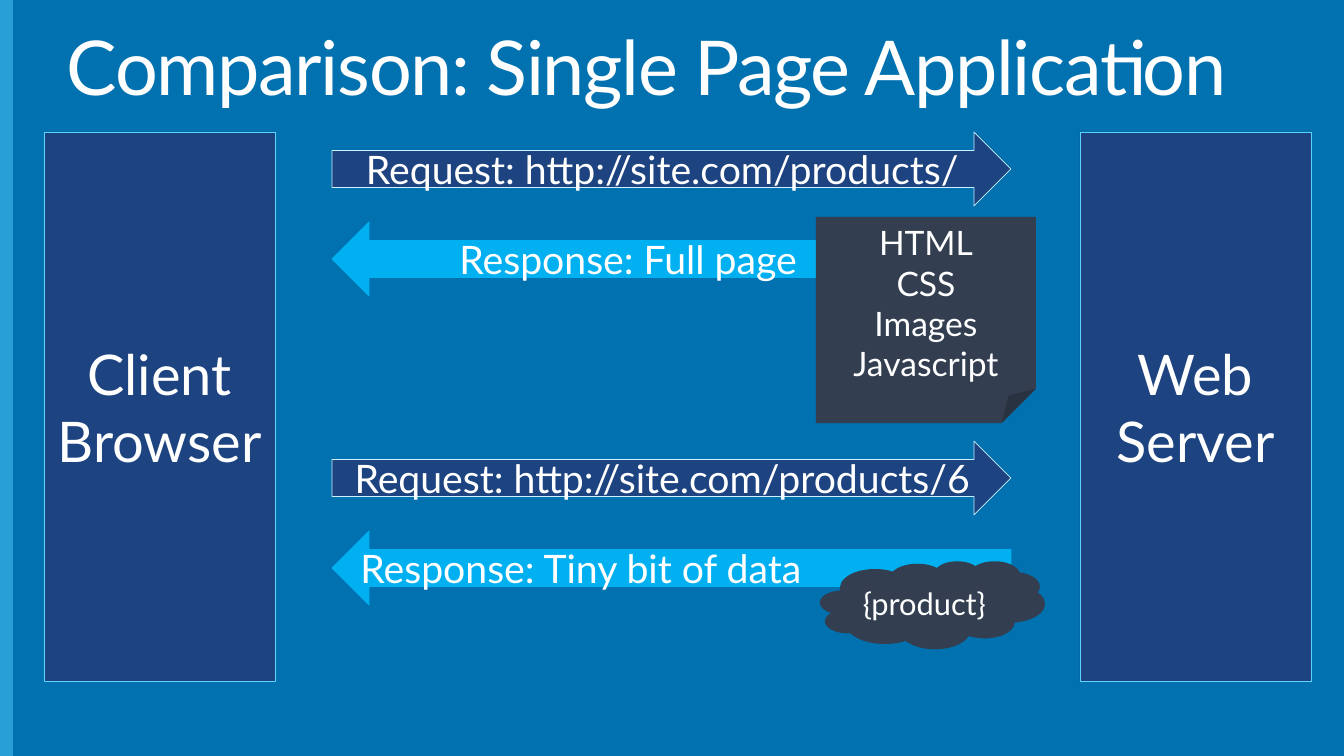
from dataclasses import dataclass

from pptx import Presentation
from pptx.dml.color import RGBColor
from pptx.enum.shapes import MSO_SHAPE
from pptx.enum.text import MSO_ANCHOR, PP_ALIGN
from pptx.util import Pt

TITLE = "Comparison: Single Page Application"
HOSTS = [(44, "Client Browser"), (1080, "Web\nServer")]
TRIPS = [
    (132, "Request: http://site.com/products/", "Response: Full page", 99),
    (441, "Request: http://site.com/products/6", "Response: Tiny bit of data", 0),
]
FILES = ["HTML", "CSS", "Images", "Javascript"]
DATA = ["{product}"]


@dataclass(frozen=True)
class Theme:
    font: str = "Lato"
    back: str = "0171B0"
    bar: str = "289FD7"
    navy: str = "1D4380"
    sky: str = "00B0F0"
    slate: str = "333F50"
    edge: str = "5DD4FF"
    pale: str = "C9F1FF"
    text: str = "FFFFFF"
    title: int = 54
    host: int = 40
    trip: int = 28
    note: int = 24
    data: int = 22


THEME = Theme()
WIDE, HIGH = 1344, 756
SCALE = 12192000 / WIDE
TOP = 132
HOST_W, HOST_H = 231, 549
TRIP_X, TRIP_W, TRIP_H, TRIP_GAP = 332, 679, 74, 90
PAD_X, PAD_Y = 10, 5


def px(size):
    return round(size * SCALE)


def write(frame, lines, size, align=PP_ALIGN.CENTER, anchor=MSO_ANCHOR.MIDDLE, inset=0):
    frame.word_wrap = True
    frame.vertical_anchor = anchor
    frame.margin_left = px(PAD_X + inset)
    frame.margin_right = px(PAD_X)
    frame.margin_top = frame.margin_bottom = px(PAD_Y)
    for i, line in enumerate(lines):
        para = frame.add_paragraph() if i else frame.paragraphs[0]
        para.text = line
        para.alignment = align
        para.font.name = THEME.font
        para.font.size = Pt(size)
        para.font.color.rgb = RGBColor.from_string(THEME.text)


def draw(slide, kind, box, fill, edge=None):
    shape = slide.shapes.add_shape(kind, *map(px, box))
    shape.shadow.inherit = False
    shape.fill.solid()
    shape.fill.fore_color.rgb = RGBColor.from_string(fill)
    if edge:
        shape.line.color.rgb = RGBColor.from_string(edge)
        shape.line.width = Pt(0.5)
    else:
        shape.line.fill.background()
    return shape.text_frame


def main():
    deck = Presentation()
    deck.slide_width, deck.slide_height = px(WIDE), px(HIGH)
    slide = deck.slides.add_slide(deck.slide_layouts[6])
    slide.background.fill.solid()
    slide.background.fill.fore_color.rgb = RGBColor.from_string(THEME.back)

    draw(slide, MSO_SHAPE.RECTANGLE, (0, 0, 13, HIGH), THEME.bar)

    head = slide.shapes.add_textbox(*map(px, (57, 25, 1229, 83))).text_frame
    write(head, [TITLE], THEME.title, PP_ALIGN.LEFT, MSO_ANCHOR.TOP)
    line = head.paragraphs[0]
    line.line_spacing = 0.9
    line.runs[0].font._element.set("spc", "-100")

    for left, name in HOSTS:
        box = (left, TOP, HOST_W, HOST_H)
        frame = draw(slide, MSO_SHAPE.RECTANGLE, box, THEME.navy, THEME.edge)
        write(frame, [name], THEME.host)

    for top, ask, reply, inset in TRIPS:
        box = (TRIP_X, top, TRIP_W, TRIP_H)
        frame = draw(slide, MSO_SHAPE.RIGHT_ARROW, box, THEME.navy, THEME.pale)
        write(frame, [ask], THEME.trip)
        box = (TRIP_X, top + TRIP_GAP, TRIP_W, TRIP_H)
        frame = draw(slide, MSO_SHAPE.LEFT_ARROW, box, THEME.sky, THEME.sky)
        write(frame, [reply], THEME.trip, PP_ALIGN.LEFT, inset=inset)

    note = draw(slide, MSO_SHAPE.FOLDED_CORNER, (816, 217, 220, 206), THEME.slate)
    write(note, FILES, THEME.note)
    cloud = draw(slide, MSO_SHAPE.CLOUD, (820, 561, 225, 88), THEME.slate)
    write(cloud, DATA, THEME.data)

    deck.save("out.pptx")


if __name__ == "__main__":
    main()
